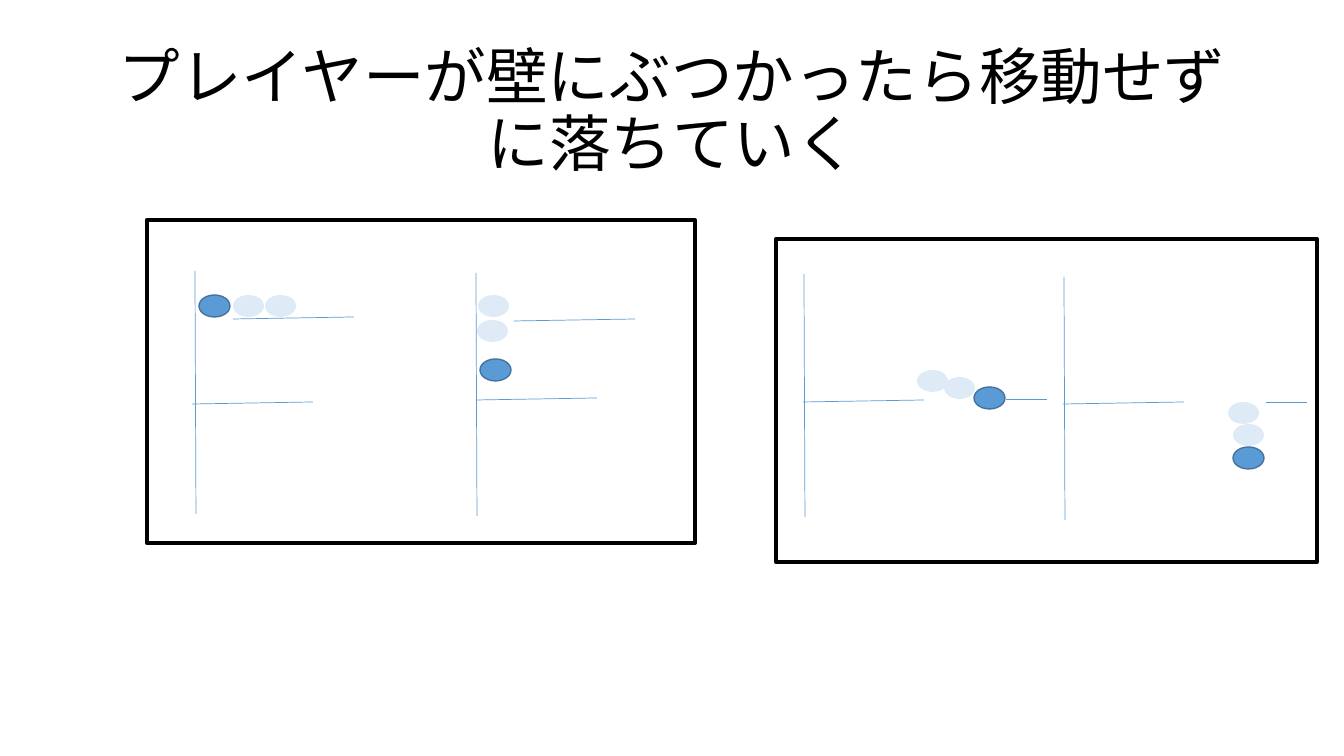
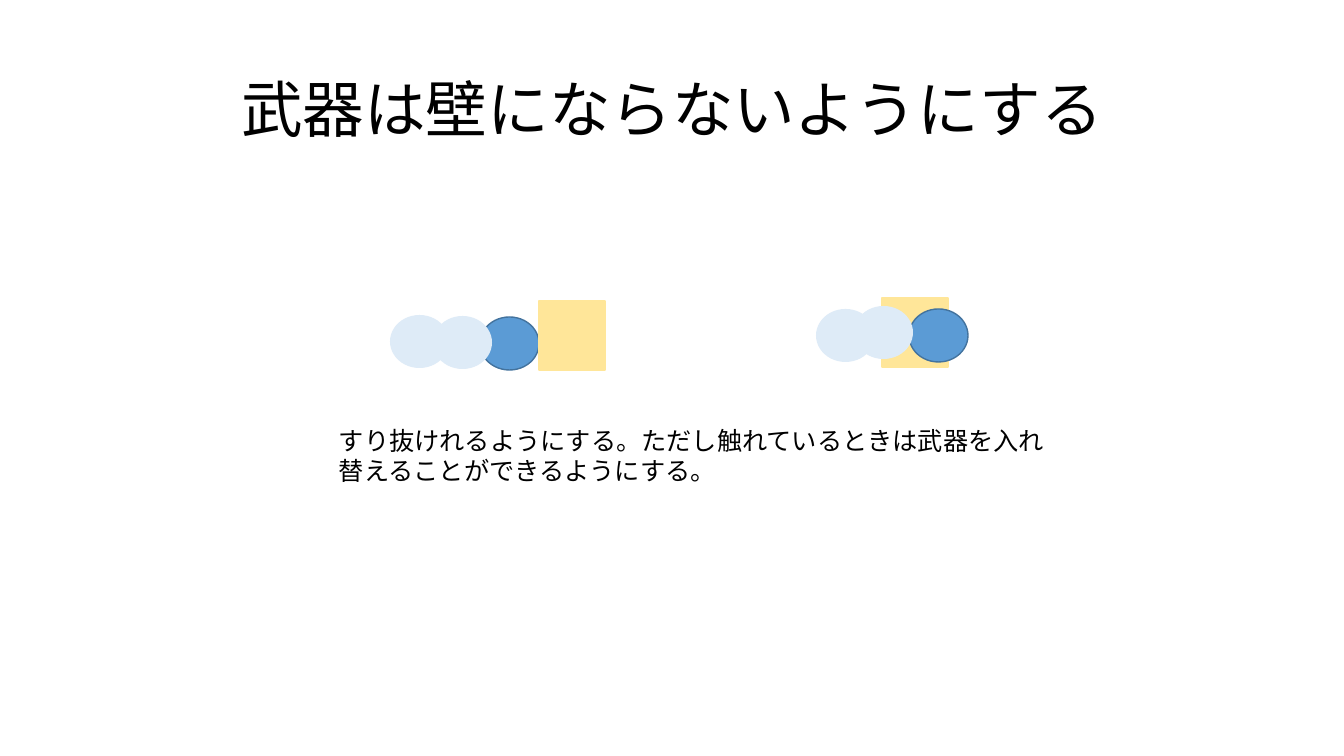
from lxml import etree
from pptx import Presentation
from pptx.dml.color import RGBColor
from pptx.enum.shapes import MSO_CONNECTOR, MSO_SHAPE
from pptx.enum.text import MSO_ANCHOR, PP_ALIGN
from pptx.oxml.ns import qn
from pptx.util import Emu, Pt

OVAL, RECTANGLE = MSO_SHAPE.OVAL, MSO_SHAPE.RECTANGLE
STRAIGHT = MSO_CONNECTOR.STRAIGHT
TOP, MIDDLE = MSO_ANCHOR.TOP, MSO_ANCHOR.MIDDLE
LEFT, CENTER = PP_ALIGN.LEFT, PP_ALIGN.CENTER

PIXELS_PER_INCH = 100.8
FONT = "Noto Sans CJK JP"
BLACK, BLUE, NAVY, PALE, YELLOW = "000000", "5B9BD5", "43739E", "DEEBF7", "FFE699"
TITLE_BOX = (93, 40, 1159, 146)
SMALL_BALL, LARGE_BALL, WEAPON = (31, 22), (59, 53), (66, 69)
WALL = (0, 0, 1, 243)
LOOKS = {
    "player": (OVAL, BLUE, NAVY),
    "trail": (OVAL, PALE, None),
    "weapon": (RECTANGLE, YELLOW, YELLOW),
}

WALL_HIT = [
    ((48, 51), [(38, 48, 121, -2), (-3, 133, 121, -2)],
     [("trail", 38, 24), ("player", 4, 24), ("trail", 70, 24)]),
    ((329, 53), [(38, 48, 121, -2), (0, 127, 121, -2)],
     [("trail", 2, 22), ("player", 4, 86), ("trail", 1, 47)]),
]
LEDGE_HIT = [
    ((28, 35), [(202, 125, 41, 0), (-1, 128, 121, -2)],
     [("player", 170, 113), ("trail", 140, 103), ("trail", 113, 96)]),
    ((288, 38), [(202, 125, 41, 0), (-1, 127, 121, -2)],
     [("player", 169, 170), ("trail", 169, 147), ("trail", 164, 125)]),
]
TOUCHING = [("player", 90, 16), ("weapon", 149, 0), ("trail", 43, 15), ("trail", 0, 14)]
PASSING = [("weapon", 66, 0), ("player", 93, 11), ("trail", 0, 11), ("trail", 38, 8)]


def px(length):
    """Turn pixels into EMU."""
    return Emu(round(length * 914400 / PIXELS_PER_INCH))


def color(code):
    """Turn a hex string into a colour."""
    return RGBColor.from_string(code)


def add_text(page, box, text, size=18, align=LEFT, anchor=TOP, spacing=1.0):
    """Add a wrapped paragraph in the given box."""
    frame = page.shapes.add_textbox(*map(px, box)).text_frame
    frame.word_wrap = True
    frame.vertical_anchor = anchor
    para = frame.paragraphs[0]
    para.alignment = align
    para.line_spacing = spacing
    span = para.add_run()
    span.text = text
    span.font.size = Pt(size)
    span.font.name = FONT
    span.font.color.rgb = color(BLACK)
    east_asian = etree.SubElement(span.font._element, qn("a:ea"))
    east_asian.set("typeface", FONT)


def add_shape(page, kind, box, fill=None, line=None, width=1):
    """Add a flat shape with optional fill and outline."""
    shape = page.shapes.add_shape(kind, *map(px, box))
    shape.shadow.inherit = False
    if fill:
        shape.fill.solid()
        shape.fill.fore_color.rgb = color(fill)
    else:
        shape.fill.background()
    if line:
        shape.line.color.rgb = color(line)
        shape.line.width = Pt(width)
    else:
        shape.line.fill.background()


def add_line(page, origin, segment):
    """Add a thin line at an offset from the origin."""
    x, y = origin[0] + segment[0], origin[1] + segment[1]
    ends = (x, y, x + segment[2], y + segment[3])
    line = page.shapes.add_connector(STRAIGHT, *map(px, ends))
    line.line.color.rgb = color(BLUE)
    line.line.width = Pt(0.5)
    etree.SubElement(line._element.spPr, qn("a:effectLst"))


def add_pieces(page, origin, pieces, ball):
    """Place players, trails and weapons from back to front."""
    for name, x, y in pieces:
        kind, fill, line = LOOKS[name]
        size = WEAPON if name == "weapon" else ball
        add_shape(page, kind, (origin[0] + x, origin[1] + y, *size), fill, line)


def add_panel(page, box, scenes):
    """Draw a framed panel of wall and platform scenes."""
    add_shape(page, RECTANGLE, box, line=BLACK, width=3)
    for offset, platforms, pieces in scenes:
        origin = (box[0] + offset[0], box[1] + offset[1])
        for segment in [WALL, *platforms]:
            add_line(page, origin, segment)
        add_pieces(page, origin, pieces, SMALL_BALL)


def add_page(deck, title):
    """Add a blank page with the shared title style."""
    page = deck.slides.add_slide(deck.slide_layouts[6])
    add_text(page, TITLE_BOX, title, size=44, align=CENTER, anchor=MIDDLE, spacing=0.9)
    return page


def build_collision_page(deck):
    """Show the player falling after hitting a wall."""
    page = add_page(deck, "プレイヤーが壁にぶつかったら移動せずに落ちていく")
    add_panel(page, (147, 220, 548, 323), WALL_HIT)
    add_panel(page, (776, 239, 541, 323), LEDGE_HIT)


def build_weapon_page(deck):
    """Show the player passing through a weapon."""
    page = add_page(deck, "武器は壁にならないようにする")
    add_pieces(page, (390, 301), TOUCHING, LARGE_BALL)
    add_pieces(page, (816, 298), PASSING, LARGE_BALL)
    add_text(page, (329, 420, 748, 72),
             "すり抜けれるようにする。ただし触れているときは武器を入れ替えることができるようにする。")


def main():
    """Build and save the deck."""
    deck = Presentation()
    deck.slide_width, deck.slide_height = px(1344), px(756)
    build_collision_page(deck)
    build_weapon_page(deck)
    deck.save("out.pptx")


main()
